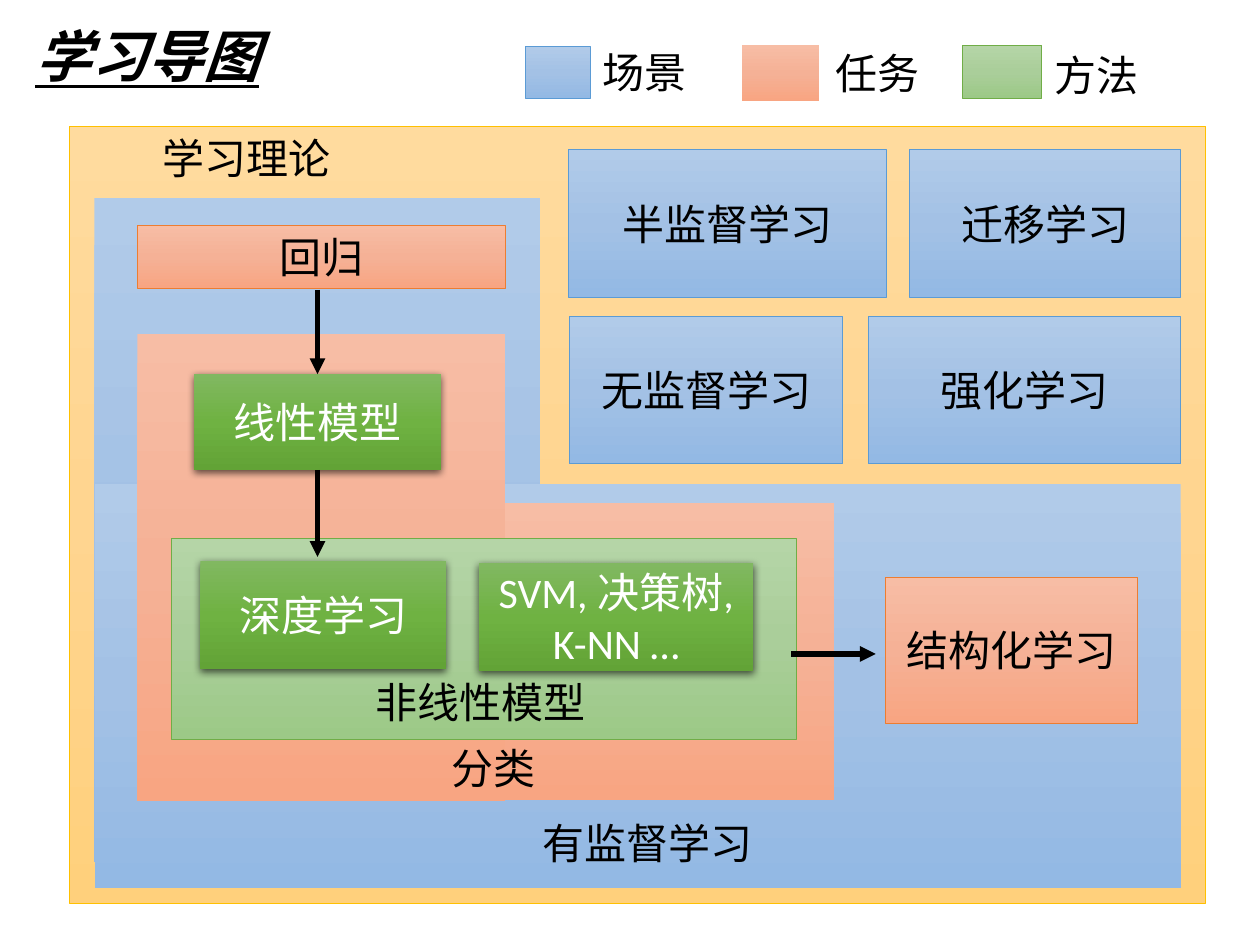
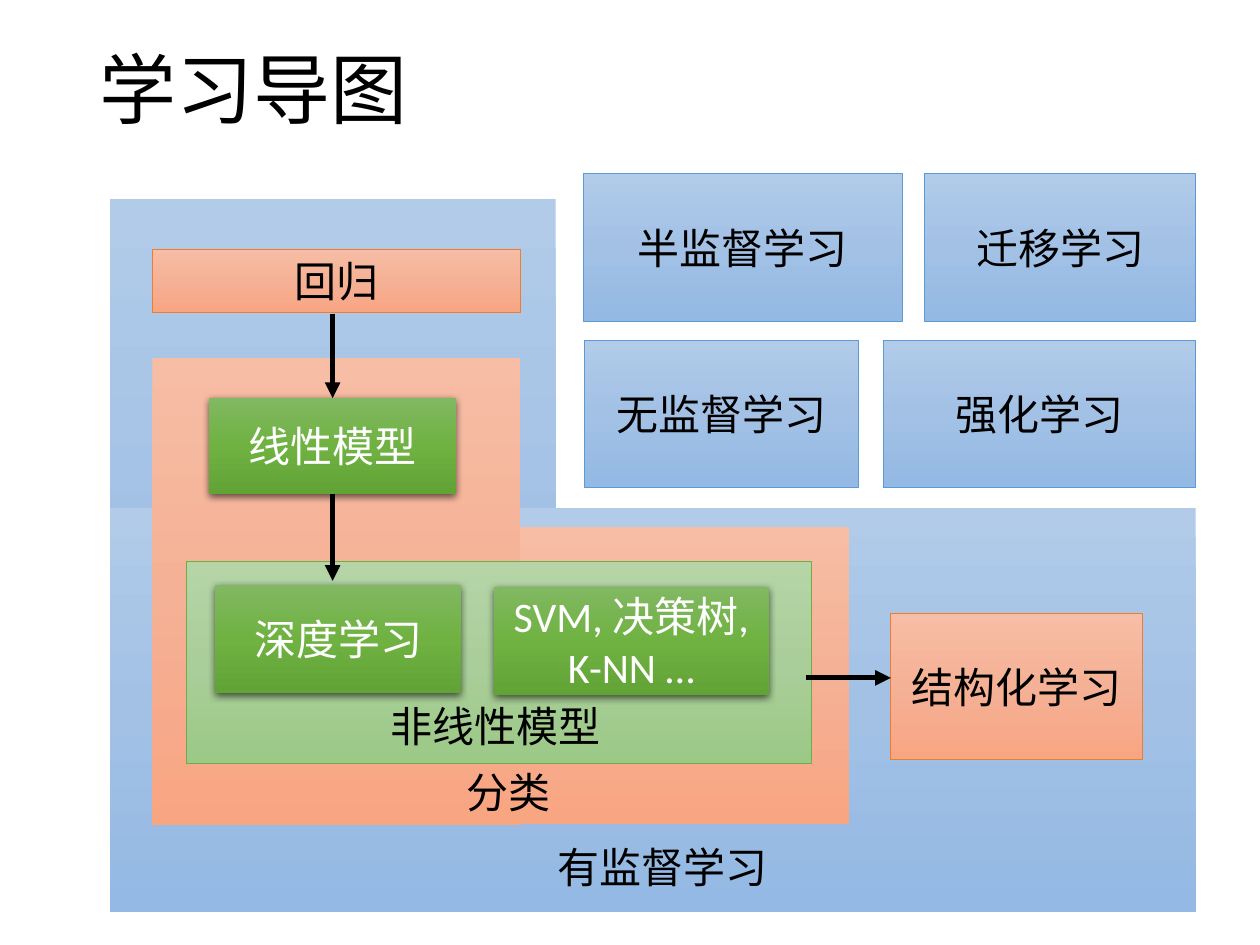
from lxml.etree import SubElement
from pptx import Presentation
from pptx.dml.color import RGBColor
from pptx.enum.shapes import MSO_CONNECTOR, MSO_SHAPE
from pptx.enum.text import MSO_ANCHOR, PP_ALIGN
from pptx.oxml.ns import qn
from pptx.util import Inches, Pt

FONT = "Calibri"
COLORS = {"text": "000000", "light": "FFFFFF", "arrow": "000000", "shadow": "000000"}
GRADIENTS = {
    "theory": ("FFDB9E", "FFD590", "FFD07C"),
    "scene": ("B1CBE9", "A3C1E5", "93B9E4"),
    "task": ("F7BDA5", "F5B196", "F8A582"),
    "method": ("B5D5A7", "AACE9A", "9CC987"),
    "model": ("81B861", "6FB242", "62A336"),
}
OUTLINES = {"theory": "FFC000", "scene": "5B9BD5", "task": "ED7D31", "method": "70AD47"}


def fill_gradient(shape, role):
    shape.fill.gradient()
    shape.fill.gradient_angle = 270
    stops = shape._element.spPr.find(qn("a:gradFill")).find(qn("a:gsLst"))
    for stop in list(stops):
        stops.remove(stop)
    for position, color in zip((0, 50000, 100000), GRADIENTS[role]):
        stop = SubElement(stops, qn("a:gs"), pos=str(position))
        SubElement(stop, qn("a:srgbClr"), val=color)


def cast_shadow(shape):
    effects = shape._element.spPr.find(qn("a:effectLst"))
    shadow = SubElement(effects, qn("a:outerShdw"), blurRad=str(Pt(4.5)),
                        dist=str(Pt(1.5)), dir="5400000", algn="ctr", rotWithShape="0")
    color = SubElement(shadow, qn("a:srgbClr"), val=COLORS["shadow"])
    SubElement(color, qn("a:alpha"), val="63000")


def write(shape, words, color="text", size=24, align=PP_ALIGN.CENTER, wrap=True):
    frame = shape.text_frame
    frame.word_wrap = wrap
    frame.vertical_anchor = MSO_ANCHOR.MIDDLE
    paragraph = frame.paragraphs[0]
    paragraph.alignment = align
    run = paragraph.add_run()
    run.text = words
    run.font.name = FONT
    run.font.size = Pt(size)
    run.font.color.rgb = RGBColor.from_string(COLORS[color])
    return paragraph, run


class Region:
    """Places parts relative to a left and top corner, in inches."""

    def __init__(self, slide, left=0, top=0):
        self.shapes = slide.shapes
        self.left, self.top = left, top

    def point(self, x, y):
        return Inches(self.left + x), Inches(self.top + y)

    def panel(self, role, x, y, width, height, words=None, outlined=True):
        panel = self.shapes.add_shape(MSO_SHAPE.RECTANGLE, *self.point(x, y),
                                      Inches(width), Inches(height))
        panel.shadow.inherit = False
        fill_gradient(panel, role)
        if outlined and role in OUTLINES:
            panel.line.color.rgb = RGBColor.from_string(OUTLINES[role])
            panel.line.width = Pt(0.5)
        else:
            panel.line.fill.background()
        if role == "model":
            cast_shadow(panel)
        if words:
            write(panel, words, "light" if role == "model" else "text")

    def label(self, words, x, y, width, height=0.5, **style):
        label = self.shapes.add_textbox(*self.point(x, y), Inches(width), Inches(height))
        return write(label, words, **style)

    def arrow(self, start, end):
        arrow = self.shapes.add_connector(MSO_CONNECTOR.STRAIGHT,
                                          *self.point(*start), *self.point(*end))
        arrow.line.color.rgb = RGBColor.from_string(COLORS["arrow"])
        arrow.line.width = Pt(3)
        SubElement(arrow.line._get_or_add_ln(), qn("a:tailEnd"), type="triangle")
        SubElement(arrow._element.spPr, qn("a:effectLst"))


def add_learning_map(slide, left, top, column_top, structured_at):
    region = Region(slide, left, top)
    # Supervised learning: an L of two panels holding an L for classification
    region.panel("scene", 0, column_top, 3.54, 5.65 - column_top, outlined=False)
    region.panel("scene", 0, 2.65, 8.62, 3.21, outlined=False)
    region.panel("task", 0.71, 2.8, 5.16, 2.36, outlined=False)
    region.label("有监督学习", 2.53, 5.25, 3.72)
    region.panel("task", 0.34, 0.6, 2.92, 0.5, "回归")
    region.panel("task", 0.34, 1.46, 2.92, 3.71, outlined=False)
    region.panel("model", 0.79, 1.78, 1.96, 0.76, "线性模型")
    region.panel("task", *structured_at, 2, 1.16, "结构化学习")

    # Other scenes
    for words, x, y, width in (("半监督学习", 3.76, 0, 2.53),
                               ("迁移学习", 6.47, 0, 2.15),
                               ("无监督学习", 3.77, 1.32, 2.17),
                               ("强化学习", 6.14, 1.32, 2.48)):
        region.panel("scene", x, y, width, 1.17, words)

    # Nonlinear models
    region.label("分类", 2.05, 4.65, 2.23)
    region.panel("method", 0.61, 3.08, 4.96, 1.6)
    region.panel("model", 0.84, 3.26, 1.95, 0.86, "深度学习")
    region.panel("model", 3.05, 3.28, 2.18, 0.86, "SVM, 决策树, K-NN …")
    region.label("非线性模型", 1.68, 4.13, 2.77)

    # Learning order
    for start, end in (((1.77, 1.11), (1.77, 1.78)),
                       ((1.77, 2.54), (1.77, 3.23)),
                       ((5.53, 4), (6.2, 4))):
        region.arrow(start, end)


def add_legend(slide, left, top):
    region = Region(slide, left, top)
    for role, swatch, words, label_at, outlined in (
            ("scene", (0, 0.05, 0.52, 0.41), "场景", (0.51, 0, 1.42), True),
            ("task", (1.72, 0.04, 0.61, 0.44), "任务", (2.36, 0.01, 0.9), False),
            ("method", (3.47, 0.04, 0.63, 0.42), "方法", (4.1, 0.02, 1.42), True)):
        region.panel(role, *swatch, outlined=outlined)
        region.label(words, *label_at, align=PP_ALIGN.LEFT)


def build_theory_slide(slide):
    page = Region(slide)
    page.panel("theory", 0.55, 1, 9.02, 6.17)
    add_learning_map(slide, 0.75, 1.19, 0.38, (6.28, 3.39))
    add_legend(slide, 4.17, 0.32)
    _, title = page.label("学习导图", 0.18, 0.12, 2, 0.64, size=32,
                          align=PP_ALIGN.LEFT, wrap=False)
    title.font.bold = title.font.italic = title.font.underline = True
    page.label("学习理论", 0.75, 1, 2.42)


def build_map_slide(slide):
    title, _ = Region(slide).label("学习导图", 0.69, 0.02, 8.62, 1.45, size=44,
                                   align=PP_ALIGN.LEFT)
    title.line_spacing = 0.9
    add_learning_map(slide, 0.87, 1.38, 0.2, (6.2, 3.49))


def main():
    deck = Presentation()
    deck.slide_width, deck.slide_height = Inches(10), Inches(7.5)
    for build in (build_theory_slide, build_map_slide):
        build(deck.slides.add_slide(deck.slide_layouts[6]))
    deck.save("out.pptx")


if __name__ == "__main__":
    main()
